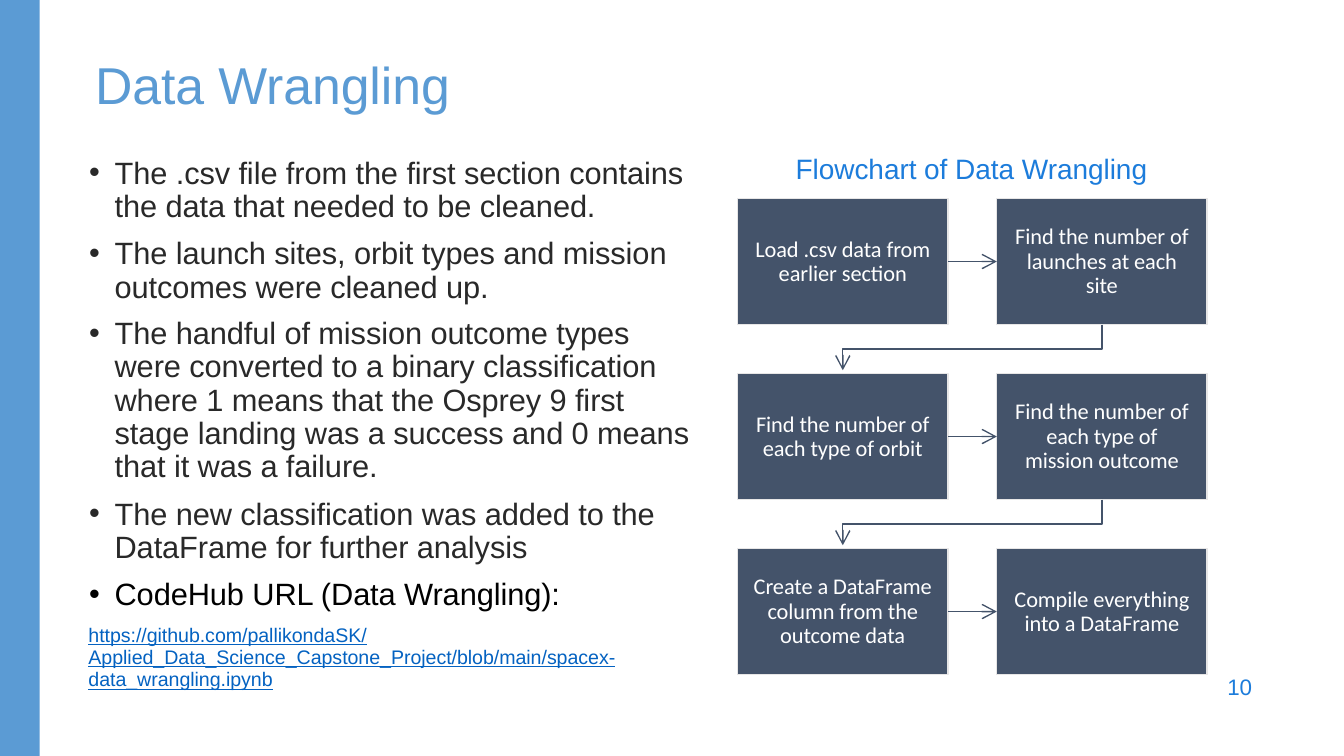
from lxml import etree
from pptx import Presentation
from pptx.dml.color import RGBColor
from pptx.enum.shapes import MSO_CONNECTOR, MSO_SHAPE
from pptx.enum.text import MSO_ANCHOR, PP_ALIGN
from pptx.oxml.ns import qn
from pptx.util import Cm, Pt

STRAIGHT = MSO_CONNECTOR.STRAIGHT
RECT = MSO_SHAPE.RECTANGLE
MIDDLE = MSO_ANCHOR.MIDDLE
CENTER = PP_ALIGN.CENTER
RIGHT_SIDE, LEFT_SIDE = 3, 1

COLORS = {
    "accent": "5B9BD4", "heading": "1C7CDB", "body": "292929", "black": "000000",
    "link": "0462C1", "box": "44536A", "edge": "E7E6E6", "white": "FFFFFF",
}
FONTS = {
    "title": {"name": "Arial", "size": Pt(37), "color": "accent"},
    "heading": {"name": "Arial", "size": Pt(20), "color": "heading"},
    "body": {"name": "Arial", "size": Pt(22), "color": "body"},
    "label": {"name": "Arial", "size": Pt(22), "color": "black"},
    "link": {"name": "Arial", "size": Pt(14), "color": "link", "underline": True},
    "step": {"name": "Calibri", "size": Pt(16), "color": "white"},
    "number": {"name": "Arial", "size": Pt(16), "color": "heading"},
}
BODY = [
    ("The .csv file from the first section contains the data that needed to be cleaned.",
     "body", {"line_spacing": Pt(23.8)}),
    ("The launch sites, orbit types and mission outcomes were cleaned up.",
     "body", {"line_spacing": Pt(23.8), "space_before": Pt(10)}),
    ("The handful of mission outcome types were converted to a binary classification "
     "where 1 means that the Osprey 9 first stage landing was a success and 0 means "
     "that it was a failure.",
     "body", {"line_spacing": 0.9, "space_before": Pt(9.6)}),
    ("The new classification was added to the DataFrame for further analysis",
     "body", {"line_spacing": Pt(23.2), "space_before": Pt(10.8)}),
    ("CodeHub URL (Data Wrangling):", "label", {"space_before": Pt(7.8)}),
    ("https://github.com/pallikondaSK/Applied_Data_Science_Capstone_Project/"
     "blob/main/spacex-data_wrangling.ipynb",
     "link", {"line_spacing": Pt(15.9), "space_before": Pt(8.5)}),
]
STEPS = [
    ["Load .csv data from earlier section", "Find the number of launches at each site"],
    ["Find the number of each type of orbit",
     "Find the number of each type of mission outcome"],
    ["Create a DataFrame column from the outcome data",
     "Compile everything into a DataFrame"],
]


def rgb(name):
    """Return the named colour."""
    return RGBColor.from_string(COLORS[name])


def set_attrs(obj, values):
    """Set every attribute in values on obj."""
    for key, value in values.items():
        setattr(obj, key, value)


def set_frame(tf, margin=0, **values):
    """Give a text frame wrapping, side margins and further settings."""
    set_attrs(tf, {"word_wrap": True, "margin_left": margin, "margin_right": margin,
                   "margin_top": 0, "margin_bottom": 0, **values})


def add_run(p, text, style):
    """Add a slightly tightened run in a named font style."""
    r = p.add_run()
    r.text = text
    font = dict(FONTS[style])
    r.font.color.rgb = rgb(font.pop("color"))
    set_attrs(r.font, font)
    r.font._element.set("spc", "-5")


def add_bullet(p):
    """Give a paragraph a hanging round bullet."""
    pPr = p._p.get_or_add_pPr()
    pPr.set("marL", str(Cm(0.66)))
    pPr.set("indent", str(-Cm(0.64)))
    etree.SubElement(pPr, qn("a:buFont")).set("typeface", "Arial")
    etree.SubElement(pPr, qn("a:buChar")).set("char", "•")


def add_line_text(s, box, text, style):
    """Place a single line of text in a box."""
    tf = s.shapes.add_textbox(*box).text_frame
    set_frame(tf)
    add_run(tf.paragraphs[0], text, style)


def add_body(s, box):
    """Place the bulleted text and the link."""
    tf = s.shapes.add_textbox(*box).text_frame
    set_frame(tf)
    for i, (text, style, spacing) in enumerate(BODY):
        p = tf.add_paragraph() if i else tf.paragraphs[0]
        if style != "link":
            add_bullet(p)
        set_attrs(p, spacing)
        add_run(p, text, style)


def add_rect(s, box, fill):
    """Place a flat rectangle without an outline."""
    sp = s.shapes.add_shape(RECT, *box)
    sp.shadow.inherit = False
    sp.fill.solid()
    sp.fill.fore_color.rgb = rgb(fill)
    sp.line.fill.background()
    return sp


def add_step(s, box, text):
    """Place one step of the flowchart."""
    sp = add_rect(s, box, "box")
    sp.line.color.rgb = rgb("edge")
    sp.line.width = Pt(0.96)
    tf = sp.text_frame
    set_frame(tf, Cm(0.37), vertical_anchor=MIDDLE)
    p = tf.paragraphs[0]
    set_attrs(p, {"alignment": CENTER, "line_spacing": Pt(17.5)})
    add_run(p, text, "step")
    return sp


def style_arrow(sp):
    """Give a line its colour, width and open arrowhead."""
    sp.line.color.rgb = rgb("box")
    sp.line.width = Pt(1)
    tail = etree.SubElement(sp.line._get_or_add_ln(), qn("a:tailEnd"))
    for key, value in {"type": "arrow", "w": "lg", "len": "lg"}.items():
        tail.set(key, value)


def join_across(s, left, right):
    """Join two steps of one row with an arrow."""
    sp = s.shapes.add_connector(STRAIGHT, 0, 0, 0, 0)
    sp.begin_connect(left, RIGHT_SIDE)
    sp.end_connect(right, LEFT_SIDE)
    style_arrow(sp)
    etree.SubElement(sp._element.spPr, qn("a:effectLst"))


def join_down(s, upper, lower):
    """Draw a bent arrow from the foot of one step to the head of the next row."""
    x1, x2 = (sp.left + sp.width // 2 for sp in (upper, lower))
    y1, y2 = upper.top + upper.height, lower.top
    middle = (y1 + y2) // 2
    fb = s.shapes.build_freeform(x1, y1)
    fb.add_line_segments([(x1, middle), (x2, middle), (x2, y2 - Cm(0.08))], close=False)
    sp = fb.convert_to_shape()
    sp.fill.background()
    style_arrow(sp)
    sp.shadow.inherit = False


def add_flowchart(s, left, top, width, height):
    """Place the steps in a two-column grid and join them in reading order."""
    step_w, step_h = Cm(5.3), Cm(3.18)
    pitch_x = width - step_w
    pitch_y = (height - step_h) // (len(STEPS) - 1)
    previous = None
    for i, row in enumerate(STEPS):
        first, last = [
            add_step(s, (left + j * pitch_x, top + i * pitch_y, step_w, step_h), text)
            for j, text in enumerate(row)]
        join_across(s, first, last)
        if previous:
            join_down(s, previous, first)
        previous = last


def main():
    """Build the slide and save it."""
    prs = Presentation()
    prs.slide_width, prs.slide_height = Cm(33.87), Cm(19.05)
    s = prs.slides.add_slide(prs.slide_layouts[6])
    add_rect(s, (0, 0, Cm(1), prs.slide_height), "accent")
    add_line_text(s, (Cm(2.4), Cm(1.33), Cm(10), Cm(1.6)), "Data Wrangling", "title")
    add_body(s, (Cm(2.23), Cm(3.96), Cm(15.3), Cm(13.1)))
    add_line_text(s, (Cm(20.05), Cm(3.83), Cm(9.2), Cm(0.9)),
                  "Flowchart of Data Wrangling", "heading")
    add_flowchart(s, Cm(18.59), Cm(5), Cm(11.83), Cm(12))
    add_line_text(s, (Cm(30.93), Cm(16.95), Cm(0.9), Cm(0.7)), "10", "number")
    prs.save("out.pptx")


if __name__ == "__main__":
    main()
